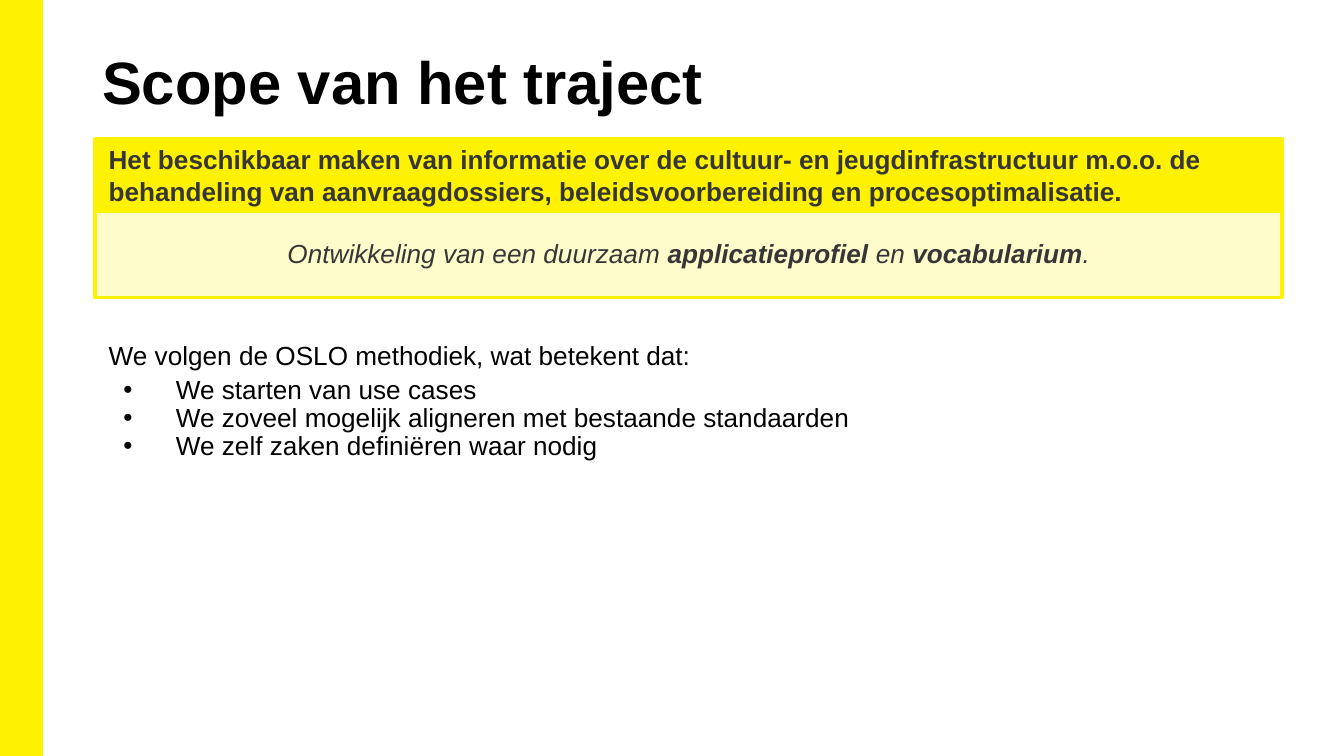
from pptx import Presentation
from pptx.dml.color import RGBColor
from pptx.enum.shapes import MSO_SHAPE as SHAPE
from pptx.enum.text import MSO_ANCHOR as ANCHOR, PP_ALIGN as ALIGN
from pptx.oxml.ns import qn
from pptx.util import Emu, Pt
from lxml import etree

PX = 4572  # 200 px to the inch
WIDTH, HEIGHT = 2000, 1125
YELLOW = RGBColor(0xFF, 0xF2, 0x00)
CREAM = RGBColor(0xFF, 0xFC, 0xCC)
GREY = RGBColor(0x37, 0x36, 0x36)
BLACK = RGBColor(0x00, 0x00, 0x00)


def px(n):
    return Emu(n * PX)


def add_box(s, x, y, w, h, fill, line_width):
    box = s.shapes.add_shape(SHAPE.RECTANGLE, px(x), px(y), px(w), px(h))
    box.shadow.inherit = False
    box.fill.solid()
    box.fill.fore_color.rgb = fill
    box.line.color.rgb = YELLOW
    box.line.width = Pt(line_width)
    return box


def add_text_box(s, x, y, w, h):
    return s.shapes.add_textbox(px(x), px(y), px(w), px(h)).text_frame


def set_frame(tf, inset_x=20, inset_y=10, anchor=ANCHOR.TOP):
    tf.word_wrap = True
    tf.margin_left = tf.margin_right = px(inset_x)
    tf.margin_top = tf.margin_bottom = px(inset_y)
    tf.vertical_anchor = anchor


def add_run(p, text, size=14, color=GREY, bold=False, italic=False):
    r = p.add_run()
    r.text = text
    font = r.font
    font.name, font.size = "Arial", Pt(size)
    font.bold, font.italic = bold, italic
    font.color.rgb = color


def set_bullet(p, margin=100, hanging=78):
    pPr = p._p.get_or_add_pPr()
    pPr.set("marL", str(px(margin)))
    pPr.set("indent", str(-px(hanging)))
    color = etree.SubElement(pPr, qn("a:buClr"))
    etree.SubElement(color, qn("a:srgbClr")).set("val", str(BLACK))
    etree.SubElement(pPr, qn("a:buFont")).set("typeface", "Arial")
    etree.SubElement(pPr, qn("a:buChar")).set("char", "•")


def add_title(s, x, y, w, h, text):
    tf = add_text_box(s, x, y, w, h)
    set_frame(tf, 14, 8)
    add_run(tf.paragraphs[0], text, size=32, color=BLACK, bold=True)


def add_goal_panel(s, x, y, w, h, goal, result):
    head_h = 107
    # Pale result area
    add_box(s, x, y + head_h - 2, w, h - head_h + 2, CREAM, 2)
    # Yellow heading
    head = add_box(s, x, y, w, head_h, YELLOW, 2)
    set_frame(head.text_frame, anchor=ANCHOR.MIDDLE)
    p = head.text_frame.paragraphs[0]
    p.alignment = ALIGN.LEFT
    add_run(p, goal, bold=True)
    # Result line
    tf = add_text_box(s, x, y + head_h + 29, w, 68)
    set_frame(tf)
    p = tf.paragraphs[0]
    p.alignment = ALIGN.CENTER
    for text, bold in result:
        add_run(p, text, bold=bold, italic=True)


def add_method(s, x, y, w, h, intro, points):
    tf = add_text_box(s, x, y, w, h)
    set_frame(tf, 20, 20)
    for i, text in enumerate([intro, *points]):
        p = tf.add_paragraph() if i else tf.paragraphs[0]
        p.line_spacing = 0.9
        p.space_before = Pt(3 if i == 1 else 0)
        if i:
            set_bullet(p)
        add_run(p, text, color=BLACK)


def main():
    prs = Presentation()
    prs.slide_width, prs.slide_height = px(WIDTH), px(HEIGHT)
    s = prs.slides.add_slide(prs.slide_layouts[6])

    # Side band
    add_box(s, 0, 0, 62, HEIGHT, YELLOW, 1)

    add_title(s, 138, 59, 1724, 144, "Scope van het traject")
    add_goal_panel(
        s, 142, 207, 1766, 236,
        "Het beschikbaar maken van informatie over de cultuur- en "
        "jeugdinfrastructuur m.o.o. de behandeling van aanvraagdossiers, "
        "beleidsvoorbereiding en procesoptimalisatie.",
        [("Ontwikkeling van een duurzaam ", False),
         ("applicatieprofiel", True),
         (" en ", False),
         ("vocabularium", True),
         (".", False)])
    add_method(
        s, 142, 490, 1758, 536,
        "We volgen de OSLO methodiek, wat betekent dat:",
        ["We starten van use cases",
         "We zoveel mogelijk aligneren met bestaande standaarden",
         "We zelf zaken definiëren waar nodig"])

    prs.save("out.pptx")


if __name__ == "__main__":
    main()
